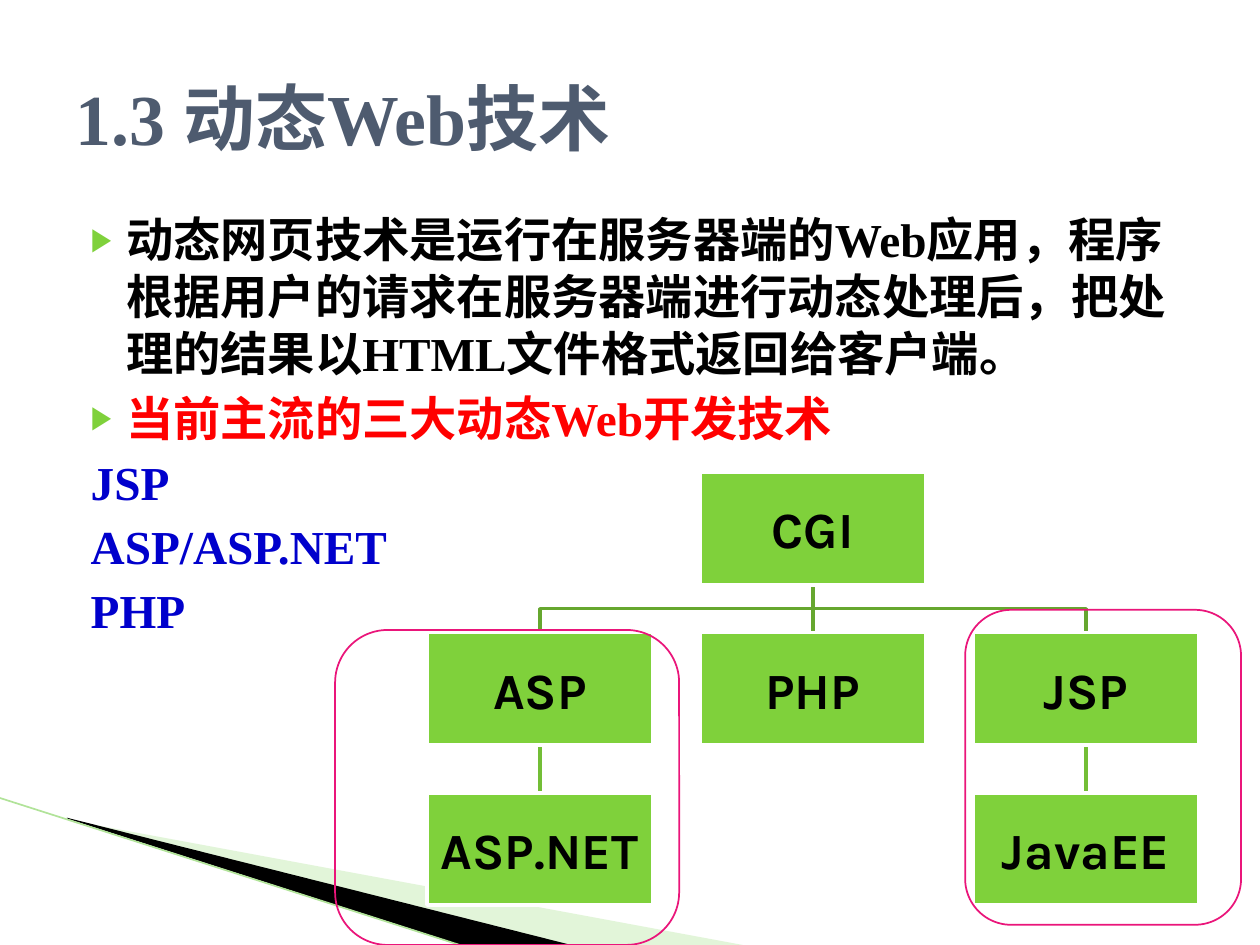
from dataclasses import dataclass

from lxml import etree
from pptx import Presentation
from pptx.dml.color import RGBColor
from pptx.enum.shapes import MSO_CONNECTOR, MSO_SHAPE
from pptx.enum.text import MSO_ANCHOR, MSO_AUTO_SIZE, PP_ALIGN
from pptx.oxml.ns import qn
from pptx.util import Pt

STRAIGHT = MSO_CONNECTOR.STRAIGHT
RECTANGLE, ROUNDED = MSO_SHAPE.RECTANGLE, MSO_SHAPE.ROUNDED_RECTANGLE
LEFT, CENTER = PP_ALIGN.LEFT, PP_ALIGN.CENTER
TOP, MIDDLE = MSO_ANCHOR.TOP, MSO_ANCHOR.MIDDLE
NO_AUTOFIT = MSO_AUTO_SIZE.NONE
TOP_SIDE, BOTTOM_SIDE = 0, 2


@dataclass(frozen=True)
class Theme:
    text_font: str = "Times New Roman"
    node_font: str = "Karla"
    title_size: float = 41
    body_size: float = 27
    node_size: float = 29
    body_pitch: float = 32.6
    title: str = "4E5B6F"
    black: str = "000000"
    white: str = "FFFFFF"
    red: str = "FF0000"
    blue: str = "0000CC"
    green: str = "7FD13B"
    branch: str = "66A72F"
    twig: str = "73BE36"
    pink: str = "EA157A"
    pale_green: str = "B8E7A1"
    edge: str = "B1E399"


class SlideBuilder:
    """Draws styled elements on one slide; all lengths are in points."""

    def __init__(self, page, theme):
        self.page = page
        self.theme = theme

    def place(self, shape, left, top, width, height):
        shape.left, shape.top = Pt(left), Pt(top)
        shape.width, shape.height = Pt(width), Pt(height)

    def style_runs(self, para, font, size, color):
        for span in para.runs:
            span.font.name = font
            span.font.size = Pt(size)
            span.font.bold = True
            span.font.color.rgb = RGBColor.from_string(color)

    def set_line(self, shape, color, width):
        shape.line.color.rgb = RGBColor.from_string(color)
        shape.line.width = Pt(width)

    def title(self, text, *bounds):
        box = self.page.shapes.title
        self.place(box, *bounds)
        frame = box.text_frame
        frame.text = text
        frame.auto_size = NO_AUTOFIT
        frame.vertical_anchor = MIDDLE
        para = frame.paragraphs[0]
        para.alignment = LEFT
        self.style_runs(para, self.theme.text_font, self.theme.title_size, self.theme.title)

    def body(self, items, *bounds):
        """Fill the body with (text, color, bulleted) items."""
        box = self.page.placeholders[1]
        self.place(box, *bounds)
        frame = box.text_frame
        frame.text = "\n".join(text for text, _, _ in items)
        frame.auto_size = NO_AUTOFIT
        frame.vertical_anchor = TOP
        for para, (_, color, bulleted) in zip(frame.paragraphs, items):
            para.space_before = Pt(4)
            para.line_spacing = Pt(self.theme.body_pitch)
            self.style_runs(para, self.theme.text_font, self.theme.body_size, color)
            self.bullet(para, bulleted)

    def bullet(self, para, bulleted):
        properties = para._p.get_or_add_pPr()
        properties.set("marL", str(Pt(28.8)))
        properties.set("indent", str(-Pt(20.16)))
        if not bulleted:
            etree.SubElement(properties, qn("a:buNone"))
            return
        color = etree.SubElement(properties, qn("a:buClr"))
        etree.SubElement(color, qn("a:srgbClr"), val=self.theme.green)
        etree.SubElement(properties, qn("a:buSzPct"), val="68000")
        etree.SubElement(properties, qn("a:buChar"), char="▶")

    def freeform(self, points, closed):
        (left, top), *rest = [(Pt(x), Pt(y)) for x, y in points]
        builder = self.page.shapes.build_freeform(left, top)
        builder.add_line_segments(rest, close=closed)
        shape = builder.convert_to_shape()
        shape.shadow.inherit = False
        return shape

    def wedge(self, points, color, opacity=100):
        shape = self.freeform(points, True)
        shape.fill.solid()
        shape.fill.fore_color.rgb = RGBColor.from_string(color)
        shape.line.fill.background()
        if opacity < 100:
            tint = shape.element.spPr.find(qn("a:solidFill")).find(qn("a:srgbClr"))
            etree.SubElement(tint, qn("a:alpha"), val=str(opacity * 1000))

    def line(self, start, end, color, width):
        connector = self.page.shapes.add_connector(STRAIGHT, *map(Pt, start + end))
        self.set_line(connector, color, width)
        etree.SubElement(connector.element.spPr, qn("a:effectLst"))
        return connector

    def node(self, text, *bounds):
        box = self.page.shapes.add_shape(RECTANGLE, *map(Pt, bounds))
        box.shadow.inherit = False
        box.fill.solid()
        box.fill.fore_color.rgb = RGBColor.from_string(self.theme.green)
        self.set_line(box, self.theme.white, 2)
        frame = box.text_frame
        frame.text = text
        frame.word_wrap = True
        frame.vertical_anchor = MIDDLE
        frame.margin_left = frame.margin_right = Pt(1.44)
        frame.margin_top = frame.margin_bottom = Pt(1.44)
        para = frame.paragraphs[0]
        para.alignment = CENTER
        self.style_runs(para, self.theme.node_font, self.theme.node_size, self.theme.black)
        return box

    def link(self, parent, child, color):
        """Join parent to child, behind both: straight below, else with an elbow."""
        start_x = (parent.left + parent.width / 2) / Pt(1)
        start_y = (parent.top + parent.height) / Pt(1)
        end_x = (child.left + child.width / 2) / Pt(1)
        end_y = child.top / Pt(1)
        if parent.left == child.left:
            branch = self.line((start_x, start_y), (end_x, end_y), color, 2)
            branch.begin_connect(parent, BOTTOM_SIDE)
            branch.end_connect(child, TOP_SIDE)
        else:
            middle = (start_y + end_y) / 2
            corners = [(start_x, start_y), (start_x, middle), (end_x, middle), (end_x, end_y)]
            branch = self.freeform(corners, False)
            branch.fill.background()
            self.set_line(branch, color, 2)
        parent.element.addprevious(branch.element)

    def outline(self, *bounds):
        frame = self.page.shapes.add_shape(ROUNDED, *map(Pt, bounds))
        frame.adjustments[0] = 0.167
        frame.shadow.inherit = False
        frame.fill.background()
        self.set_line(frame, self.theme.pink, 1)


def main():
    deck = Presentation()
    deck.slide_width, deck.slide_height = Pt(720), Pt(540)
    theme = Theme()
    slide = SlideBuilder(deck.slides.add_slide(deck.slide_layouts[1]), theme)

    slide.wedge([(39.6, 468.7), (428.4, 540.7), (328.3, 540.7), (39.6, 468)], theme.pale_green, 40)
    slide.wedge([(38.2, 467.3), (329, 540.7), (267.8, 541.4), (38.9, 468)], theme.black)
    slide.line((-0.7, 455.8), (267.1, 541.4), theme.edge, 0.95)

    slide.title("1.3 动态Web技术", 36, 21.6, 648, 90)
    slide.body([
        ("动态网页技术是运行在服务器端的Web应用，程序根据用户的请求在服务器端进行动态处理后，"
         "把处理的结果以HTML文件格式返回给客户端。", theme.black, True),
        ("当前主流的三大动态Web开发技术", theme.red, True),
        ("JSP", theme.blue, False),
        ("ASP/ASP.NET", theme.blue, False),
        ("PHP", theme.blue, False),
    ], 36, 116.6, 648, 356.4)

    grid = {"CGI": (1, 0), "ASP": (0, 1), "ASP.NET": (0, 2),
            "PHP": (1, 1), "JSP": (2, 1), "JavaEE": (2, 2)}
    nodes = {name: slide.node(name, 244 + 156 * column, 270 + 91.5 * row, 129, 64.2)
             for name, (column, row) in grid.items()}
    for child in ("ASP", "JSP", "PHP"):
        slide.link(nodes["CGI"], nodes[child], theme.branch)
    for parent, child in (("ASP", "ASP.NET"), ("JSP", "JavaEE")):
        slide.link(nodes[parent], nodes[child], theme.twig)

    slide.outline(191.5, 360, 196.6, 180)
    slide.outline(551.5, 348.5, 157.7, 180)
    deck.save("out.pptx")


if __name__ == "__main__":
    main()
